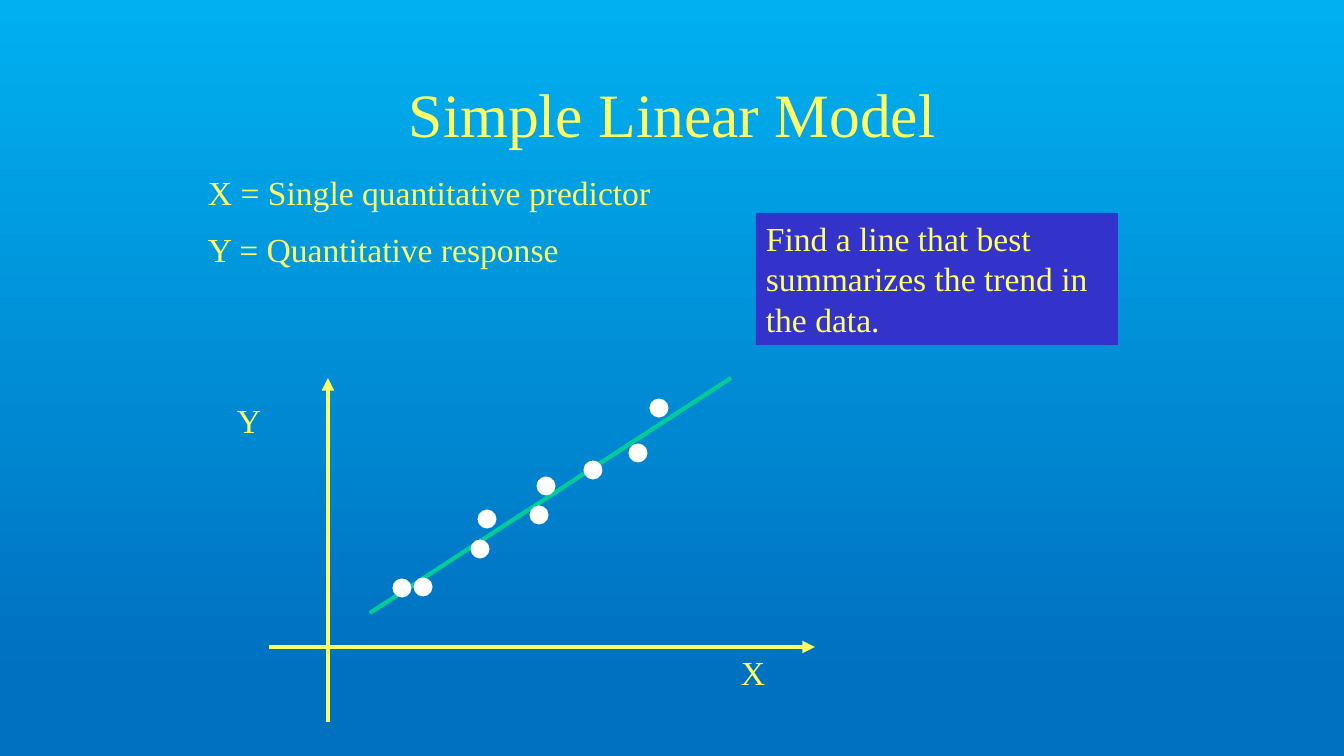
import pptx
import pptx.util
import pptx.dml.color
import pptx.enum.shapes
import pptx.enum.text
import pptx.oxml
import pptx.oxml.ns

RGBColor = pptx.dml.color.RGBColor
YELLOW = RGBColor(0xFF, 0xFF, 0x66)
GREEN = RGBColor(0x00, 0xCC, 0x99)
WHITE = RGBColor(0xFF, 0xFF, 0xFF)
INDIGO = RGBColor(0x33, 0x33, 0xCC)
SKY = RGBColor(0x00, 0xB0, 0xF0)
BLUE = RGBColor(0x00, 0x70, 0xC0)
FONT = "Times New Roman"
PX = 914400 / 100.8
SHAPE = pptx.enum.shapes.MSO_SHAPE
ALIGN = pptx.enum.text.PP_ALIGN
ANCHOR = pptx.enum.text.MSO_ANCHOR


def emu(*pixels):
    """Turn pixel lengths into EMU."""
    return [round(v * PX) for v in pixels]


def write(sp, text, size=24, align=ALIGN.LEFT, anchor=ANCHOR.TOP):
    """Fill a shape with wrapped yellow text, one paragraph per line."""
    tf = sp.text_frame
    tf.text = text
    tf.word_wrap = True
    tf.vertical_anchor = anchor
    for p in tf.paragraphs:
        p.alignment = align
        p.space_before = pptx.util.Pt(12 if size == 24 else 0)
        for r in p.runs:
            r.font.name = FONT
            r.font.size = pptx.util.Pt(size)
            r.font.color.rgb = YELLOW


prs = pptx.Presentation()
prs.slide_width, prs.slide_height = emu(1344, 756)
s = prs.slides.add_slide(prs.slide_layouts[5])

fill = s.background.fill
fill.gradient()
fill.gradient_angle = 270
for stop, color, position in zip(fill.gradient_stops, (SKY, BLUE), (0, 0.9)):
    stop.color.rgb = color
    stop.position = position

title = s.shapes.title
title.left, title.top, title.width, title.height = emu(244, 50, 857, 126)
write(title, "Simple Linear Model", 44, ALIGN.CENTER, ANCHOR.MIDDLE)

# Variable definitions and axis labels
for text, box in (
    ("X = Single quantitative predictor\nY = Quantitative response", (198, 167, 899, 112)),
    ("Y", (227, 395, 58, 51)),
    ("X", (731, 647, 76, 51)),
):
    write(s.shapes.add_textbox(*emu(*box)), text)

# Axes with arrowheads, then the fitted line
for ends, color, arrow in (
    ((328, 722, 328, 378), YELLOW, True),
    ((269, 647, 815, 647), YELLOW, True),
    ((370, 613, 731, 378), GREEN, False),
):
    line = s.shapes.add_connector(pptx.enum.shapes.MSO_CONNECTOR.STRAIGHT, *emu(*ends))
    line.line.color.rgb = color
    line.line.width = pptx.util.Pt(3)
    if arrow:
        tail = pptx.oxml.parse_xml(
            '<a:tailEnd %s type="triangle"/>' % pptx.oxml.ns.nsdecls("a"))
        line.line._get_or_add_ln().append(tail)
    line._element.spPr.append(
        pptx.oxml.parse_xml("<a:effectLst %s/>" % pptx.oxml.ns.nsdecls("a")))

# Data points, by centre
DOT = 19
for x, y in ((402, 588), (423, 587), (480, 549), (487, 519), (539, 515),
             (546, 486), (593, 470), (638, 453), (659, 408)):
    dot = s.shapes.add_shape(SHAPE.OVAL, *emu(x - DOT / 2, y - DOT / 2, DOT, DOT))
    dot.shadow.inherit = False
    dot.fill.solid()
    dot.fill.fore_color.rgb = WHITE
    dot.line.fill.background()

note = s.shapes.add_shape(SHAPE.RECTANGLE, *emu(756, 213, 362, 132))
note.shadow.inherit = False
note.fill.solid()
note.fill.fore_color.rgb = INDIGO
note.line.fill.background()
write(note, "Find a line that best summarizes the trend in the data.")

prs.save("out.pptx")
